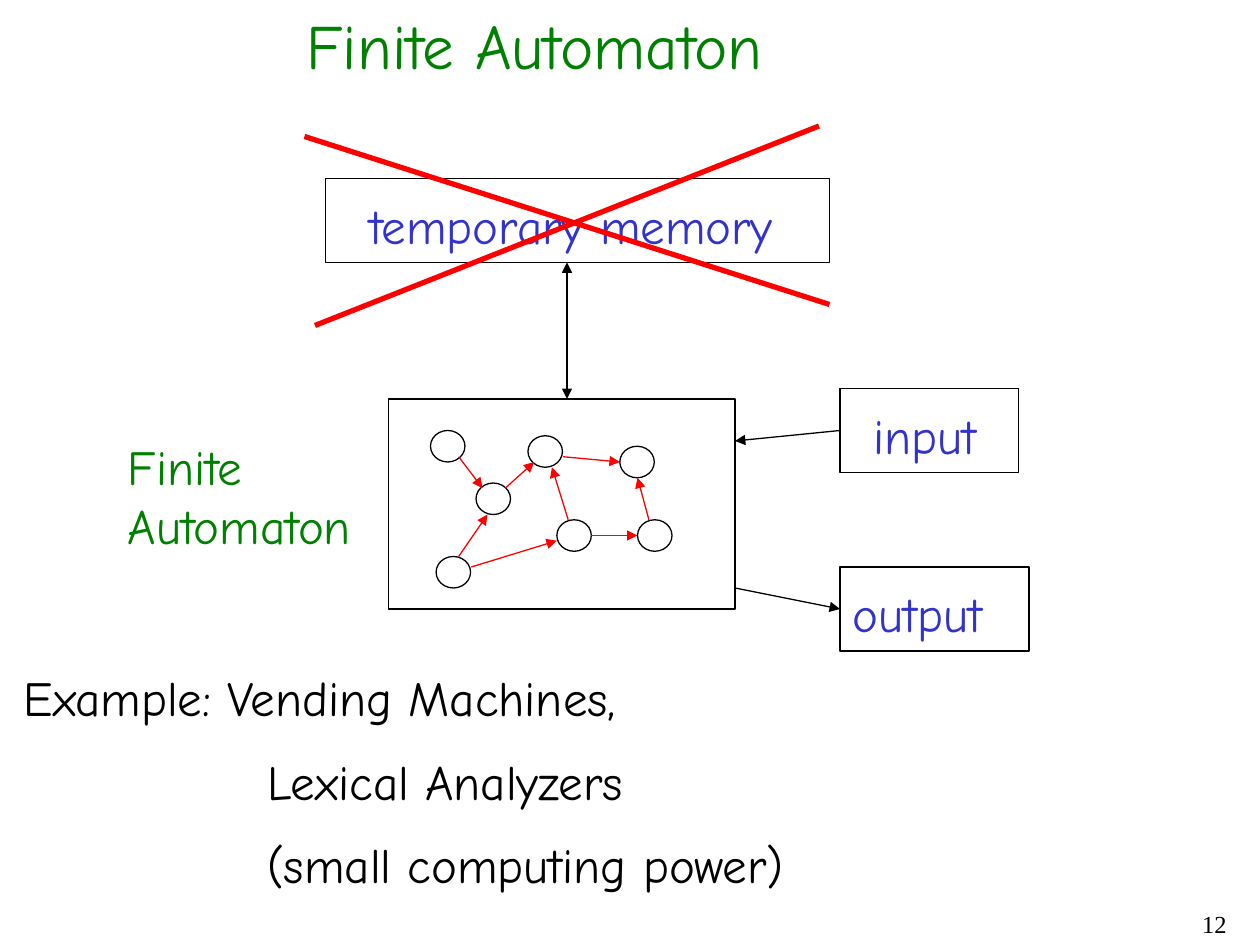
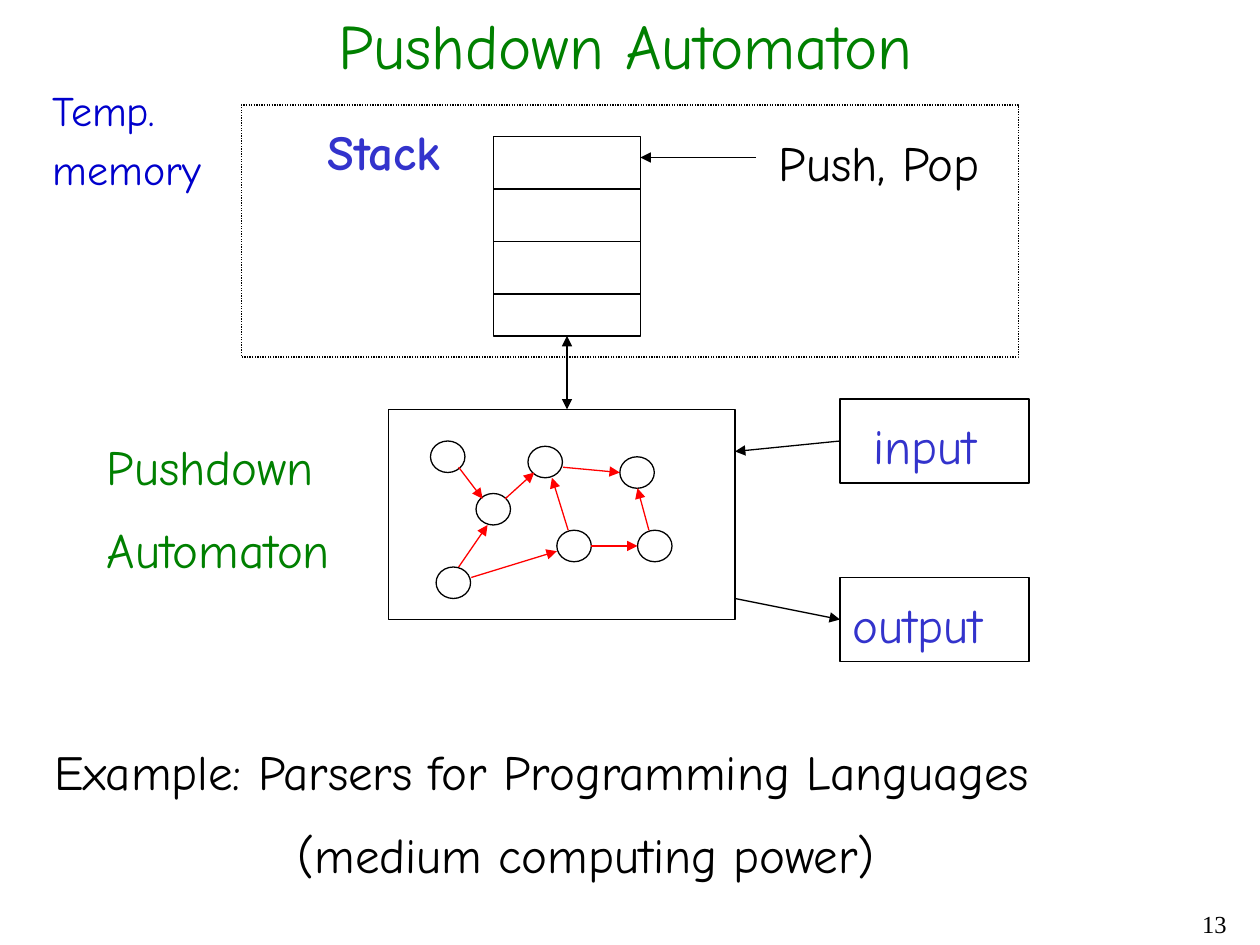
import pptx
import pptx.util
import pptx.dml.color
import pptx.enum.dml
import pptx.enum.shapes
import pptx.enum.text
import pptx.oxml.xmlchemy

Pt = pptx.util.Pt
RGBColor = pptx.dml.color.RGBColor
Shape = pptx.enum.shapes.MSO_SHAPE

BLACK = RGBColor(0x00, 0x00, 0x00)
RED = RGBColor(0xFF, 0x00, 0x00)
GREEN = RGBColor(0x00, 0x80, 0x00)
LABEL_BLUE = RGBColor(0x33, 0x33, 0xCC)
NOTE_BLUE = RGBColor(0x00, 0x00, 0xCC)
BODY_FONT = "Comic Neue"
NUMBER_FONT = "Times New Roman"

# State diagram, measured from the top left corner of the machine box
MACHINE_LEFT, MACHINE_WIDTH, MACHINE_HEIGHT = 222, 198, 120
STATE_WIDTH, STATE_HEIGHT = 19.7, 18
STATES = [(24, 18), (50, 48), (79.7, 21), (96.2, 69), (132.2, 27),
          (27.2, 90), (142.3, 69)]
TRANSITIONS = [
    ((40.1, 33), (53.8, 51)), ((66.7, 51), (83.3, 36)),
    ((99.8, 33), (132.2, 36)), ((102.7, 69), (93.4, 39)),
    ((40.1, 90), (56.6, 66)), ((47.3, 96), (96.2, 81)),
    ((115.7, 78), (142.3, 78)), ((148.8, 69), (142.3, 45)),
]


class Deck:
    """Holds the shared style and the current slide."""

    def __init__(self):
        self.presentation = pptx.Presentation()
        self.presentation.slide_width = Pt(720)
        self.presentation.slide_height = Pt(540)
        self.slide = None

    def start_slide(self, title, left, width, number):
        layout = self.presentation.slide_layouts.get_by_name("Title Only")
        self.slide = self.presentation.slides.add_slide(layout)
        shape = self.slide.shapes.title
        shape.left, shape.top = Pt(left), Pt(0)
        shape.width, shape.height = Pt(width), Pt(50.4)
        self.fill_text(shape, [title], 36, GREEN)
        self.text([str(number)], 558, 516, 150, 24, BLACK, size=14,
                  font=NUMBER_FONT, align=pptx.enum.text.PP_ALIGN.RIGHT)

    def fill_text(self, shape, lines, size, color, font=BODY_FONT, bold=False,
                  align=pptx.enum.text.PP_ALIGN.LEFT, gap=0.5, indent=0):
        """Write one paragraph per line; gap is a share of the text size,
        and indent moves every line after the first."""
        frame = shape.text_frame
        frame.word_wrap = True
        frame.auto_size = pptx.enum.text.MSO_AUTO_SIZE.NONE
        frame.vertical_anchor = pptx.enum.text.MSO_ANCHOR.TOP
        frame.text = "\n".join(lines)
        for index, paragraph in enumerate(frame.paragraphs):
            if index:
                paragraph.space_before = Pt(size * gap)
                if indent:
                    properties = paragraph._p.get_or_add_pPr()
                    properties.set("marL", str(Pt(indent)))
            paragraph.alignment = align
            paragraph.font.name = font
            paragraph.font.size = Pt(size)
            paragraph.font.bold = bold
            paragraph.font.color.rgb = color

    def text(self, lines, left, top, width, height, color, size=28, **style):
        shape = self.slide.shapes.add_textbox(
            Pt(left), Pt(top), Pt(width), Pt(height))
        self.fill_text(shape, lines, size, color, **style)

    def outline(self, left, top, width, height, kind=Shape.RECTANGLE,
                dash=None):
        shape = self.slide.shapes.add_shape(
            kind, Pt(left), Pt(top), Pt(width), Pt(height))
        shape.shadow.inherit = False
        shape.fill.background()
        shape.line.color.rgb = BLACK
        shape.line.width = Pt(0.75)
        if dash:
            shape.line.dash_style = dash

    def line(self, start, end, color=BLACK, width=0.75, arrows=()):
        """Draw a straight line; arrows may name headEnd and tailEnd."""
        connector = self.slide.shapes.add_connector(
            pptx.enum.shapes.MSO_CONNECTOR.STRAIGHT,
            Pt(start[0]), Pt(start[1]), Pt(end[0]), Pt(end[1]))
        connector.line.color.rgb = color
        connector.line.width = Pt(width)
        new_element = pptx.oxml.xmlchemy.OxmlElement
        line_element = connector.line._get_or_add_ln()
        for arrow in arrows:
            tip = new_element(f"a:{arrow}")
            tip.set("type", "triangle")
            line_element.append(tip)
        connector._element.spPr.append(new_element("a:effectLst"))

    def machine(self, top, memory_bottom, input_width):
        """Draw the control unit with its states, memory link, input, output."""
        right = MACHINE_LEFT + MACHINE_WIDTH
        port_left = right + 60
        self.outline(MACHINE_LEFT, top, MACHINE_WIDTH, MACHINE_HEIGHT)
        self.line((324, memory_bottom), (324, top),
                  arrows=("headEnd", "tailEnd"))

        # Input and output
        self.outline(port_left, top - 6, input_width, 48)
        self.text(["input"], port_left + 12, top, 80, 41, LABEL_BLUE)
        self.line((right, top + 24), (port_left, top + 18),
                  arrows=("headEnd",))
        self.outline(port_left, top + 96, 108, 48)
        self.text(["output"], port_left, top + 102, 100, 41, LABEL_BLUE)
        self.line((right, top + 108), (port_left, top + 120),
                  arrows=("tailEnd",))

        # States and transitions
        for x, y in STATES:
            self.outline(MACHINE_LEFT + x, top + y, STATE_WIDTH, STATE_HEIGHT,
                         kind=Shape.OVAL)
        for start, end in TRANSITIONS:
            self.line(*((MACHINE_LEFT + x, top + y) for x, y in (start, end)),
                      color=RED, arrows=("tailEnd",))


def finite_automaton(deck):
    deck.start_slide("Finite Automaton", 168, 305, 12)
    deck.machine(top=228, memory_bottom=150, input_width=102)
    deck.text(["Finite Automaton"], 66, 246, 168, 74, GREEN)

    # Crossed-out memory
    deck.outline(186, 102, 288, 48)
    deck.text(["temporary memory"], 204, 108, 261, 41, LABEL_BLUE)
    deck.line((174, 78), (474, 174), color=RED, width=3)
    deck.line((180, 186), (468, 72), color=RED, width=3)

    deck.text(["Example: Vending Machines,", "Lexical Analyzers",
               "(small computing power)"],
              6.5, 378, 456, 143, BLACK, indent=139)


def pushdown_automaton(deck):
    deck.start_slide("Pushdown Automaton", 186, 366, 13)
    deck.machine(top=234, memory_bottom=192, input_width=108)
    deck.text(["Pushdown", "Automaton"], 54, 246, 156, 91, GREEN)

    # Stack memory
    deck.outline(138, 60, 444, 144,
                 dash=pptx.enum.dml.MSO_LINE.ROUND_DOT)
    deck.text(["Temp.", "memory"], 23, 45, 102, 71, NOTE_BLUE, size=24,
              gap=0.2)
    deck.text(["Stack"], 180, 66, 92, 41, LABEL_BLUE, bold=True)
    deck.outline(282, 78, 84, 114)
    for row in range(1, 4):
        y = 78 + 30 * row
        deck.line((282, y), (366, y))
    deck.line((432, 90), (366, 90), arrows=("tailEnd",))
    deck.text(["Push, Pop"], 438, 72, 134, 41, BLACK)

    deck.text(["Example: Parsers for Programming Languages",
               "(medium computing power)"],
              24, 420, 621, 91, BLACK, indent=139)


def main():
    deck = Deck()
    finite_automaton(deck)
    pushdown_automaton(deck)
    deck.presentation.save("out.pptx")


if __name__ == "__main__":
    main()
